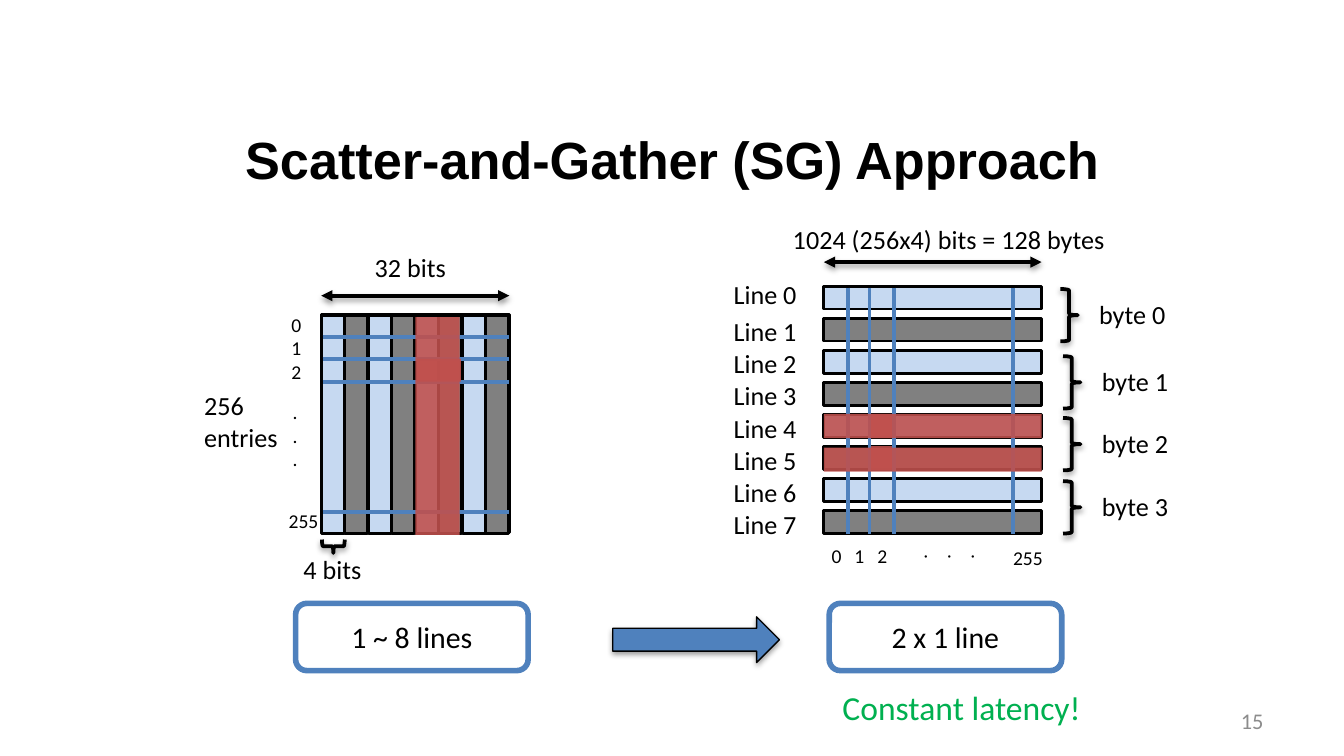
from lxml.etree import SubElement
from pptx import Presentation
from pptx.dml.color import RGBColor
from pptx.enum.shapes import MSO_CONNECTOR, MSO_SHAPE as SHAPE
from pptx.enum.text import MSO_ANCHOR, PP_ALIGN as ALIGN
from pptx.oxml import parse_xml
from pptx.oxml.ns import nsdecls, qn
from pptx.util import Inches, Pt

COLORS = {"black": "000000", "blue": "4F81BD", "pale": "C6D9F1", "gray": "808080",
          "red": "C0504D", "green": "00B050", "number": "8C8C8C"}
TITLE = "Scatter-and-Gather (SG) Approach"
STRIPES = ["pale", "gray"] * 4
LABELS = [("32 bits", 2.69, 1.82, 0.74, 0.34), ("4 bits", 2.16, 4.07, 0.64, 0.34),
          ("1024 (256x4) bits = 128 bytes", 5.8, 1.61, 2.55, 0.34),
          ("256\nentries", 1.42, 2.85, 0.78, 0.57)]
BYTES = [("byte 0", 7.89, 2.15), ("byte 1", 7.91, 2.65), ("byte 2", 7.91, 3.11), ("byte 3", 7.91, 3.58)]
INDEXES = [("0", 2.07, 2.28), ("1", 2.07, 2.45), ("2", 2.07, 2.63), ("255", 2.05, 3.74),
           ("0", 6.09, 4), ("1", 6.26, 4), ("2", 6.43, 4), ("255", 7.44, 4.01)]
DOTS = ".\n.\n."
ENTRY_LINES = [2.51, 2.67, 2.84, 3.81]
BIT_LINES = [6.31, 6.47, 6.65, 7.54]
CROSSINGS = [(6.47, 3.08, 0.17, 0.18), (6.48, 3.32, 0.17, 0.18)]
HIGHLIGHTS = [(3.1, 2.67, 0.33, 0.17), (3.09, 2.36, 0.33, 1.62),
              (6.13, 3.08, 1.62, 0.18), (6.13, 3.33, 1.62, 0.18)]
BOXES = [("1 ~ 8 lines", 2.2), ("2 x 1 line", 6.17)]
TABLE_X, TABLE_Y, LINE_X, LINE_Y = 2.39, 2.35, 6.13, 2.13
LENGTH, THICK = 1.62, 0.17
COLUMN_STEP, LINE_STEP = 1.4 / 8, 1.67 / 7


def rgb(name):
    return RGBColor.from_string(COLORS[name])


def set_effects(sp, shadow):
    props = sp._element.spPr
    for old in props.findall(qn("a:effectLst")):
        props.remove(old)
    content = ('<a:outerShdw blurRad="39370" dist="20320" dir="5400000" rotWithShape="0">'
               '<a:srgbClr val="000000"><a:alpha val="38000"/></a:srgbClr></a:outerShdw>') if shadow else ""
    props.append(parse_xml(f'<a:effectLst {nsdecls("a")}>{content}</a:effectLst>'))


def write(sp, text, size, color="black", align=ALIGN.LEFT, font="Calibri", bold=False):
    tf = sp.text_frame
    tf.text = text
    for p in tf.paragraphs:
        p.alignment = align
        for r in p.runs:
            r.font.name, r.font.size, r.font.bold = font, Pt(size), bold
            r.font.color.rgb = rgb(color)


def add_text(text, x, y, w, h, size, color="black", align=ALIGN.LEFT, wrap=True):
    sp = s.shapes.add_textbox(Inches(x), Inches(y), Inches(w), Inches(h))
    write(sp, text, size, color, align)
    sp.text_frame.word_wrap = wrap
    return sp


def add_shape(kind, x, y, w, h, fill=None, line=None, width=1.5, alpha=None, shadow=False):
    sp = s.shapes.add_shape(kind, Inches(x), Inches(y), Inches(w), Inches(h))
    if fill:
        sp.fill.solid()
        sp.fill.fore_color.rgb = rgb(fill)
        if alpha:
            color = sp._element.spPr.find(qn("a:solidFill"))[0]
            SubElement(color, qn("a:alpha"), val=str(alpha * 1000))
    else:
        sp.fill.background()
    if line:
        sp.line.color.rgb, sp.line.width = rgb(line), Pt(width)
    else:
        sp.line.fill.background()
    set_effects(sp, shadow)
    return sp


def add_line(x1, y1, x2, y2, color="blue", arrows=False):
    sp = s.shapes.add_connector(MSO_CONNECTOR.STRAIGHT, Inches(x1), Inches(y1), Inches(x2), Inches(y2))
    sp.line.color.rgb, sp.line.width = rgb(color), Pt(2)
    if arrows:
        for end in ("a:headEnd", "a:tailEnd"):
            SubElement(sp.line._get_or_add_ln(), qn(end), type="triangle")
    set_effects(sp, arrows)


def add_brace(x, y, w, h):
    return add_shape(SHAPE.RIGHT_BRACE, x, y, w, h, line="black", width=2, shadow=True)


prs = Presentation()
prs.slide_width, prs.slide_height = Inches(10), Inches(5.625)
s = prs.slides.add_slide(prs.slide_layouts[5])
title = s.shapes.title
title.left, title.top, title.width, title.height = Inches(0.5), Inches(0.74), Inches(9), Inches(0.88)
write(title, TITLE, 28, align=ALIGN.CENTER, font="Arial", bold=True)
title.text_frame.vertical_anchor = MSO_ANCHOR.MIDDLE

add_shape(SHAPE.RECTANGLE, TABLE_X, 2.34, 1.4, LENGTH, line="black")
for i, color in enumerate(STRIPES):
    add_shape(SHAPE.RECTANGLE, TABLE_X + i * COLUMN_STEP, TABLE_Y, THICK, LENGTH, color, "black")
    add_shape(SHAPE.RECTANGLE, LINE_X, LINE_Y + i * LINE_STEP, LENGTH, THICK, color, "black")
    label_y = 2.3 + (i - 1) * LINE_STEP if i else 2.02
    add_text(f"Line {i}", 5.36, label_y, 0.68, 0.34, 14, wrap=False)

for area in CROSSINGS:
    add_shape(SHAPE.RECTANGLE, *area, fill="red", alpha=89)
for y in ENTRY_LINES:
    add_line(2.4, y, 3.79, y)
for x in BIT_LINES:
    add_line(x, 2.14, x, 3.97)
for area in HIGHLIGHTS:
    add_shape(SHAPE.RECTANGLE, *area, fill="red", alpha=89)

add_line(TABLE_X, 2.2, 3.79, 2.2, "black", arrows=True)
add_line(LINE_X, 1.95, 7.75, 1.95, "black", arrows=True)
add_brace(2.43, 3.98, 0.1, 0.17).rotation = 90
for text, x, y in BYTES:
    add_brace(x, y, 0.13, 0.39)
    add_text(text, x + 0.19, y + 0.02, 0.7, 0.34, 14, wrap=False)
for text, x, y, w, h in LABELS:
    add_text(text, x, y, w, h, 14, wrap=False)
for text, x, y in INDEXES:
    add_text(text, x, y, 0.44, 0.29, 10.5)
add_text(DOTS, 2.08, 2.93, 0.44, 0.63, 10.5)
add_text(DOTS, 6.99, 3.83, 0.24, 0.63, 10.5).rotation = 90

for text, x in BOXES:
    box = add_shape(SHAPE.ROUNDED_RECTANGLE, x, 4.49, 1.73, 0.5, line="blue", width=3)
    write(box, text, 16, align=ALIGN.CENTER)
    box.text_frame.vertical_anchor = MSO_ANCHOR.MIDDLE
arrow = add_shape(SHAPE.DOWN_ARROW, 5.01, 4.14, 0.34, 1.24, "blue", "black", 0.75, shadow=True)
arrow.rotation = 270
add_text("Constant latency!", 6.17, 5.06, 2.49, 0.4, 18, "green")
number = add_text("15", 7.17, 5.21, 2.33, 0.3, 12, "number", ALIGN.RIGHT)
number.text_frame.vertical_anchor = MSO_ANCHOR.MIDDLE

prs.save("out.pptx")
